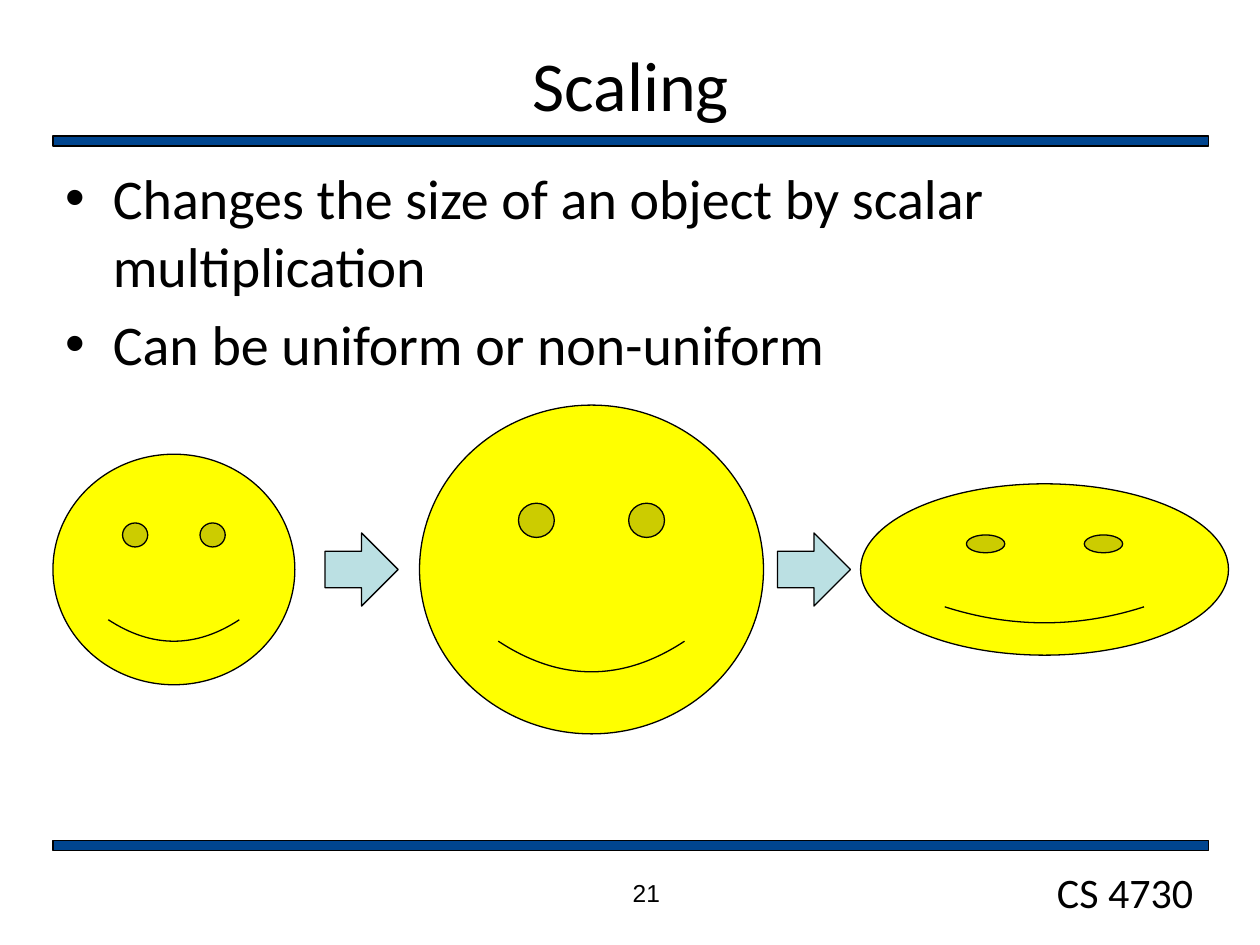
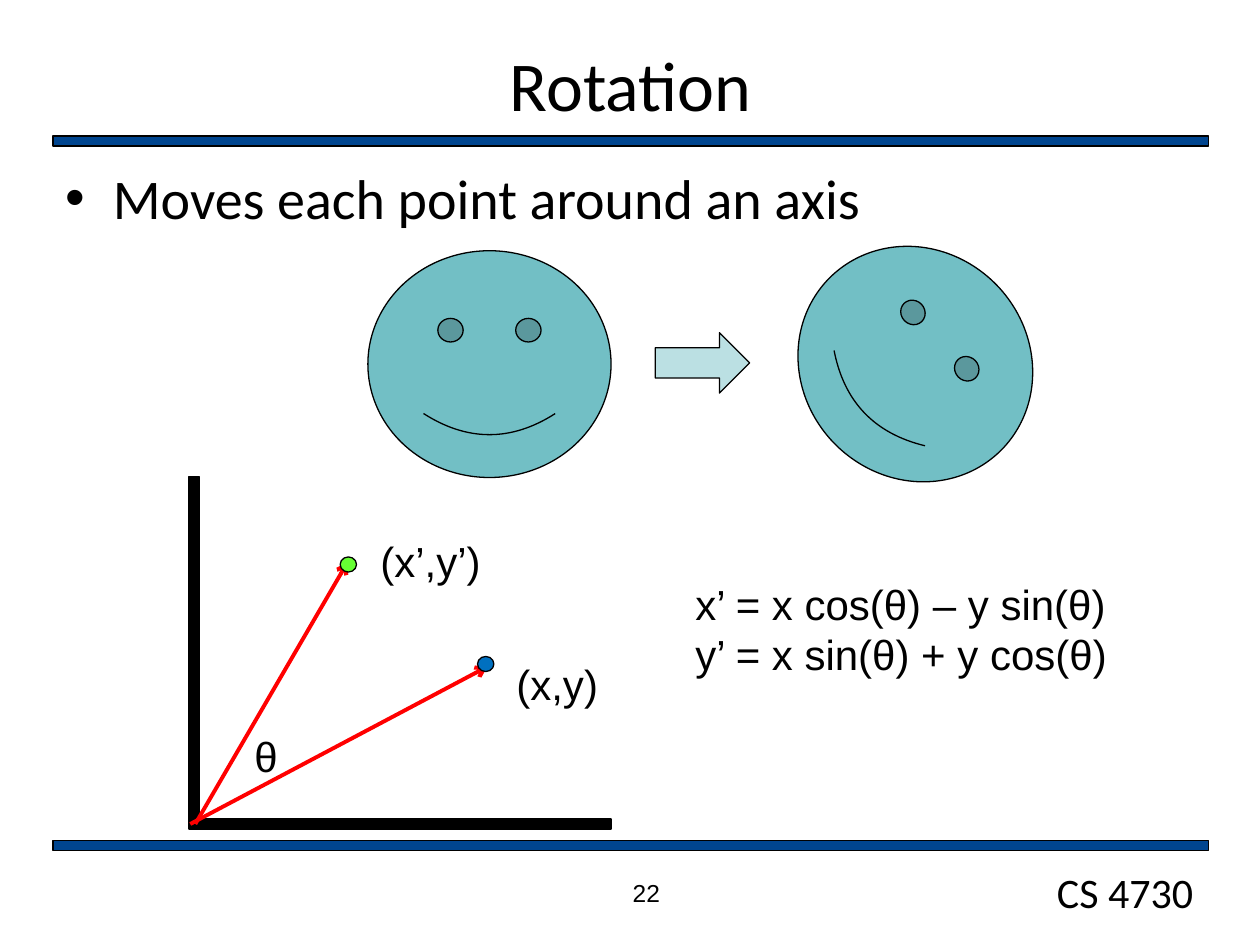
from pptx import Presentation
from pptx.dml.color import RGBColor
from pptx.enum.shapes import MSO_CONNECTOR, MSO_SHAPE as SHAPE
from pptx.enum.text import MSO_ANCHOR, MSO_AUTO_SIZE, PP_ALIGN as ALIGN
from pptx.oxml.ns import qn
from pptx.util import Inches, Pt
from lxml.etree import SubElement

COLOURS = {
    "ink": "000000", "band": "00458F", "arrow": "BBE0E3",
    "yellow": "FFFF00", "teal": "72BFC5", "vector": "FF0000",
    "rotated point": "66FF33", "start point": "0070C0",
}
COURSE = "CS 4730"
LEFT, WIDTH = 0.42, 9.17
BAND_TOPS, BAND_HEIGHT = (1.08, 6.67), 0.08

SCALING = {
    "title": "Scaling", "number": "21", "body height": 5.42,
    "bullets": ["Changes the size of an object by scalar multiplication",
                "Can be uniform or non-uniform"],
}
# Everything in the scaling row is centred on one horizontal axis.
SCALING_AXIS = 4.52
SCALED_FACES = [(0.42, 1.92, 1.83), (6.83, 2.92, 1.36), (3.33, 2.73, 2.61)]
SCALING_ARROWS, SCALING_ARROW_SIZE = (2.58, 6.17), 0.58

ROTATION = {
    "title": "Rotation", "number": "22", "body height": 0.74,
    "bullets": ["Moves each point around an axis"],
}
TURNED_FACES = [(2.92, 0), (6.3, 46.3)]
AXES_BOX, AXES_THICKNESS = (1.5, 3.78, 3.35, 2.8), 0.08
VECTORS = [((1.51, 6.54), (3.87, 5.29)), ((1.55, 6.54), (2.76, 4.46))]
POINTS = [("rotated point", 2.7, 4.42), ("start point", 3.79, 5.21)]
LABELS = [
    (["θ"], 1.92, 5.75, 0.43, 0.5),
    (["(x’,y’)"], 2.92, 4.2, 1.08, 0.5),
    (["(x,y)"], 4, 5.18, 0.85, 0.5),
    (["x’ = x cos(θ) – y sin(θ)", "y’ = x sin(θ) + y cos(θ)"],
     5.42, 4.54, 3.75, 0.91),
]


def colour(name):
    return RGBColor.from_string(COLOURS[name])


def place(item, left, top, width, height):
    item.left, item.top = Inches(left), Inches(top)
    item.width, item.height = Inches(width), Inches(height)


def write(frame, lines, size, font, align=None):
    """Fill a text frame with one paragraph per line."""
    for index, line in enumerate(lines):
        paragraph = frame.add_paragraph() if index else frame.paragraphs[0]
        if align is not None:
            paragraph.alignment = align
        run = paragraph.add_run()
        run.text = line
        run.font.size, run.font.name = Pt(size), font
        run.font.color.rgb = colour("ink")


def add_label(slide, lines, left, top, width, height,
              size=24, font="Arial", align=None, wrap=True):
    label = slide.shapes.add_textbox(*map(Inches, (left, top, width, height)))
    label.text_frame.word_wrap = wrap
    write(label.text_frame, lines, size, font, align)


def paint(figure, fill):
    """Give a figure its fill and a thin black outline."""
    figure.shadow.inherit = False
    figure.fill.solid()
    figure.fill.fore_color.rgb = colour(fill)
    figure.line.color.rgb = colour("ink")
    figure.line.width = Pt(0.75)


def add_figure(slide, kind, fill, left, top, width, height):
    figure = slide.shapes.add_shape(
        kind, *map(Inches, (left, top, width, height)))
    paint(figure, fill)
    return figure


def add_axes(slide, left, top, width, height, thickness):
    """Draw the two coordinate axes as one L-shaped outline."""
    right, bottom = left + width, top + height
    inner_x, inner_y = left + thickness, bottom - thickness
    corners = [(left, top), (inner_x, top), (inner_x, inner_y),
               (right, inner_y), (right, bottom), (left, bottom)]
    start, *others = [(Inches(x), Inches(y)) for x, y in corners]
    outline = slide.shapes.build_freeform(*start)
    outline.add_line_segments(others, close=True)
    paint(outline.convert_to_shape(), "ink")


def add_vector(slide, start, end):
    vector = slide.shapes.add_connector(
        MSO_CONNECTOR.STRAIGHT, *map(Inches, (*start, *end)))
    vector.line.color.rgb = colour("vector")
    vector.line.width = Pt(2.25)
    outline = vector._element.spPr.find(qn("a:ln"))
    SubElement(outline, qn("a:tailEnd"), type="arrow")
    SubElement(vector._element.spPr, qn("a:effectLst"))


def add_lecture_slide(deck, content):
    """Add a slide with bands, course name, number, title and bullets."""
    slide = deck.slides.add_slide(deck.slide_layouts[1])
    for top in BAND_TOPS:
        add_figure(slide, SHAPE.RECTANGLE, "band",
                   LEFT, top, WIDTH, BAND_HEIGHT)
    add_label(slide, [COURSE], 8.29, 6.83, 1.29, 0.5,
              font="Calibri", wrap=False)
    add_label(slide, [content["number"]], 3.42, 6.92, 3.42, 0.33,
              size=14, align=ALIGN.CENTER)

    title, body = slide.shapes.title, slide.placeholders[1]
    place(title, LEFT, 0.33, WIDTH, 0.67)
    place(body, LEFT, 1.25, WIDTH, content["body height"])
    title.text_frame.vertical_anchor = MSO_ANCHOR.MIDDLE
    for holder in (title, body):
        holder.text_frame.auto_size = MSO_AUTO_SIZE.NONE
    write(title.text_frame, [content["title"]], 40, "Calibri", ALIGN.CENTER)
    write(body.text_frame, content["bullets"], 32, "Calibri")
    return slide


def build_scaling(deck):
    slide = add_lecture_slide(deck, SCALING)
    for left, width, height in SCALED_FACES:
        add_figure(slide, SHAPE.SMILEY_FACE, "yellow",
                   left, SCALING_AXIS - height / 2, width, height)
    size = SCALING_ARROW_SIZE
    for left in SCALING_ARROWS:
        add_figure(slide, SHAPE.RIGHT_ARROW, "arrow",
                   left, SCALING_AXIS - size / 2, size, size)


def build_rotation(deck):
    slide = add_lecture_slide(deck, ROTATION)
    for left, angle in TURNED_FACES:
        face = add_figure(slide, SHAPE.SMILEY_FACE, "teal",
                          left, 1.99, 1.93, 1.8)
        face.rotation = angle
    add_figure(slide, SHAPE.RIGHT_ARROW, "arrow", 5.2, 2.64, 0.75, 0.48)

    add_axes(slide, *AXES_BOX, AXES_THICKNESS)
    for start, end in VECTORS:
        add_vector(slide, start, end)
    for fill, left, top in POINTS:
        add_figure(slide, SHAPE.OVAL, fill, left, top, 0.13, 0.12)
    for label in LABELS:
        add_label(slide, *label)


def main():
    deck = Presentation()
    deck.slide_width, deck.slide_height = Inches(10), Inches(7.5)
    build_scaling(deck)
    build_rotation(deck)
    deck.save("out.pptx")


if __name__ == "__main__":
    main()
